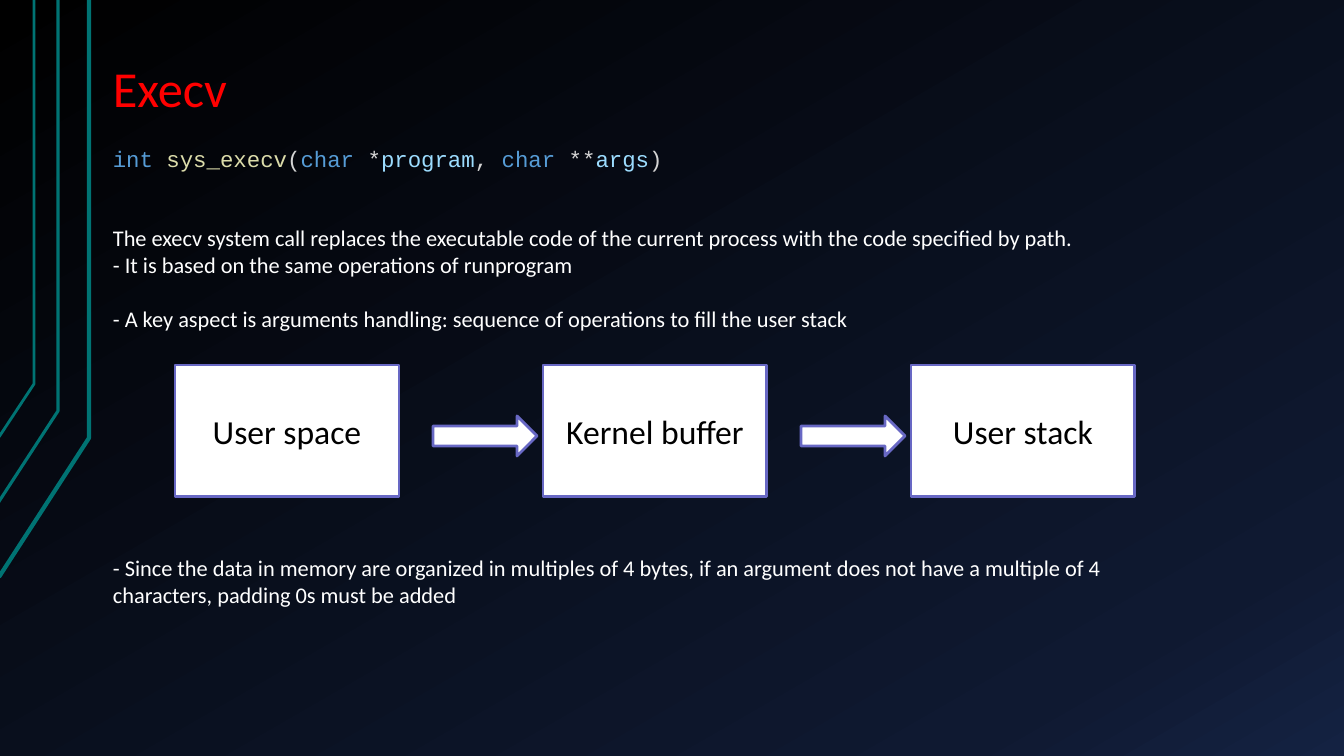
from copy import deepcopy
from pptx import Presentation
from pptx import util as u
from pptx.dml.color import RGBColor
from pptx.enum import shapes, text
from pptx.oxml.ns import qn

# Colours
WHITE = RGBColor(0xFF, 0xFF, 0xFF)
BLACK = RGBColor(0x00, 0x00, 0x00)
RED = RGBColor(0xFF, 0x00, 0x00)
TEAL = RGBColor(0x00, 0x73, 0x73)
VIOLET = RGBColor(0x68, 0x68, 0xC4)
KEYWORD = RGBColor(0x56, 0x9C, 0xD6)
FUNCTION = RGBColor(0xDC, 0xDC, 0xAA)
PLAIN = RGBColor(0xD4, 0xD4, 0xD4)
VARIABLE = RGBColor(0x9C, 0xDC, 0xFE)
BACKDROP = [(0, BLACK), (0.85, RGBColor(0x0F, 0x19, 0x31)),
            (1, RGBColor(0x14, 0x22, 0x42))]

# Content
TITLE = "Execv"
SIGNATURE = [("int ", KEYWORD), ("sys_execv", FUNCTION), ("(", PLAIN),
             ("char", KEYWORD), (" *", PLAIN), ("program", VARIABLE),
             (", ", PLAIN), ("char", KEYWORD), (" **", PLAIN),
             ("args", VARIABLE), (")", PLAIN)]
SUMMARY = [
    "The execv system call replaces the executable code of the current "
    "process with the code specified by path.",
    "- It is based on the same operations of runprogram",
]
ARGUMENTS = ("- A key aspect is arguments handling: sequence of operations "
             "to fill the user stack")
PADDING = ("- Since the data in memory are organized in multiples of 4 bytes, "
           "if an argument does not have a multiple of 4 characters, "
           "padding 0s must be added")
STAGES = ["User space", "Kernel buffer", "User stack"]
# Side lines: points in pixels, width in points
SIDE_LINES = [([(-1, 577), (89, 438), (89, 0)], 3),
              ([(-2, 503), (58, 411), (58, 0)], 2.25),
              ([(-1, 437), (34, 384), (34, 0)], 2)]

# Layout in pixels
PX = 914400 / 100.8
LEFT = 103
STAGE_X, STAGE_Y, STAGE_W, STAGE_H, STAGE_STEP = 175, 365, 224, 132, 368
ARROW_DX, ARROW_Y, ARROW_W, ARROW_H = 258, 416, 104, 40
BLANK_LINE = 19.5  # points, one line of 16 pt text


def px(*lengths):
    return [u.Emu(round(n * PX)) for n in lengths]


def write(tf, content, size=16, font="Calibri", color=WHITE, before=0, align=None):
    """Add a paragraph; content is a string or a list of (text, colour)."""
    p = tf.paragraphs[0]
    if p.runs:
        p = tf.add_paragraph()
    p.space_before = u.Pt(before)
    p.alignment = align
    runs = [(content, color)] if isinstance(content, str) else content
    for words, run_color in runs:
        r = p.add_run()
        r.text = words
        r.font.size = u.Pt(size)
        r.font.name = font
        r.font.color.rgb = run_color


def text_frame(top, width, height):
    tf = s.shapes.add_textbox(*px(LEFT, top, width, height)).text_frame
    tf.word_wrap = True
    return tf


def white_shape(kind, *box):
    sp = s.shapes.add_shape(kind, *px(*box))
    sp.shadow.inherit = False
    sp.fill.solid()
    sp.fill.fore_color.rgb = WHITE
    sp.line.color.rgb = VIOLET
    sp.line.width = u.Pt(2)
    return sp


prs = Presentation()
prs.slide_width, prs.slide_height = px(1344, 756)
s = prs.slides.add_slide(prs.slide_layouts[6])

# Background gradient
fill = s.background.fill
fill.gradient()
fill.gradient_angle = 300
stops = s.element.find(".//" + qn("a:gsLst"))
stops.append(deepcopy(stops[-1]))
for stop, (position, color) in zip(fill.gradient_stops, BACKDROP):
    stop.position = position
    stop.color.rgb = color

# Side lines
for points, width in SIDE_LINES:
    builder = s.shapes.build_freeform(*points[0], scale=PX)
    builder.add_line_segments(points[1:], close=False)
    sp = builder.convert_to_shape()
    sp.shadow.inherit = False
    sp.fill.background()
    sp.line.color.rgb = TEAL
    sp.line.width = u.Pt(width)

# Title and signature
tf = text_frame(52, 1138, 179)
write(tf, TITLE, size=36, color=RED)
write(tf, SIGNATURE, font="Courier New", before=BLANK_LINE)

# Description
tf = text_frame(219, 1192, 159)
for line in SUMMARY:
    write(tf, line)
write(tf, ARGUMENTS, before=BLANK_LINE)

# Stages joined by arrows
for i, stage in enumerate(STAGES):
    x = STAGE_X + i * STAGE_STEP
    sp = white_shape(shapes.MSO_SHAPE.RECTANGLE, x, STAGE_Y, STAGE_W, STAGE_H)
    sp.text_frame.vertical_anchor = text.MSO_ANCHOR.MIDDLE
    write(sp.text_frame, stage, size=24, color=BLACK, align=text.PP_ALIGN.CENTER)
    if i < len(STAGES) - 1:
        white_shape(shapes.MSO_SHAPE.RIGHT_ARROW,
                    x + ARROW_DX, ARROW_Y, ARROW_W, ARROW_H)

# Padding note
write(text_frame(549, 1069, 65), PADDING)

prs.save("out.pptx")
